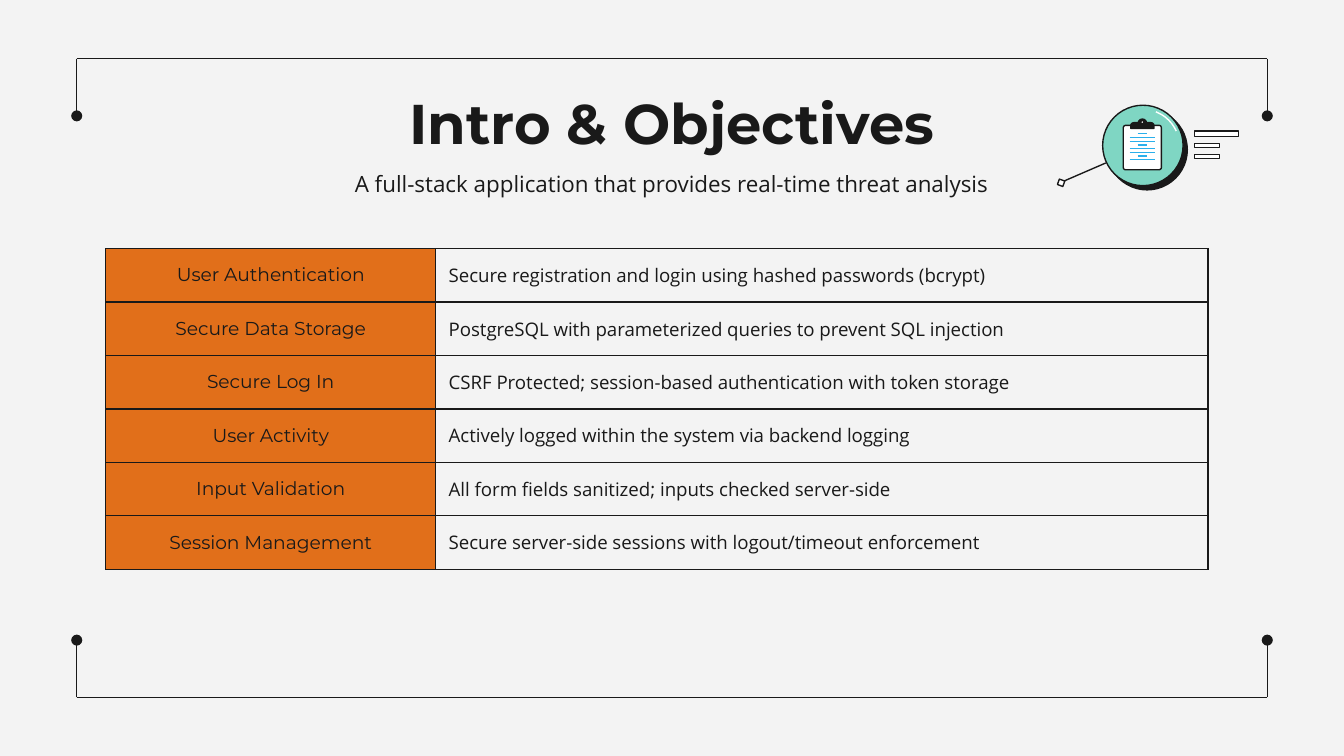
from dataclasses import dataclass

from lxml.etree import SubElement
from pptx import Presentation
from pptx.dml.color import RGBColor
from pptx.enum.shapes import MSO_CONNECTOR, MSO_SHAPE
from pptx.enum.text import MSO_ANCHOR, PP_ALIGN
from pptx.oxml import parse_xml
from pptx.oxml.ns import nsdecls, qn
from pptx.util import Cm, Pt


@dataclass(frozen=True)
class Theme:
    paper: str = "F3F3F3"
    ink: str = "191919"
    accent: str = "E16F1A"
    teal: str = "7FD6C3"
    blue: str = "2AAFEB"
    white: str = "FFFFFF"
    heading: str = "Montserrat"
    body: str = "Open Sans"
    title_size: float = 30
    subtitle_size: float = 12
    table_size: float = 10
    rule: float = 0.75


class Deck:
    """Draws styled elements on the current slide, with lengths in centimetres."""

    def __init__(self, prs, theme):
        self.theme = theme
        self.s = prs.slides.add_slide(prs.slide_layouts[5])
        fill = self.s.background.fill
        fill.solid()
        fill.fore_color.rgb = RGBColor.from_string(theme.paper)

    def set_text(self, tf, text, font, size, align=PP_ALIGN.CENTER, bold=False):
        tf.word_wrap = True
        p = tf.paragraphs[0]
        p.text = text
        p.alignment = align
        p.font.name = font
        p.font.size = Pt(size)
        p.font.bold = bold
        p.font.color.rgb = RGBColor.from_string(self.theme.ink)

    def frame(self, sp, box, text, font, size, anchor, bold=False):
        sp.left, sp.top, sp.width, sp.height = map(Cm, box)
        tf = sp.text_frame
        tf.margin_left = tf.margin_right = Cm(0.25)
        tf.margin_top = tf.margin_bottom = Cm(0.25)
        tf.vertical_anchor = anchor
        self.set_text(tf, text, font, size, bold=bold)

    def title(self, box, text):
        self.frame(self.s.shapes.title, box, text, self.theme.heading,
                   self.theme.title_size, MSO_ANCHOR.MIDDLE, bold=True)

    def subtitle(self, box, text):
        sp = self.s.shapes.add_textbox(*map(Cm, box))
        self.frame(sp, box, text, self.theme.body, self.theme.subtitle_size, MSO_ANCHOR.TOP)

    def line(self, x1, y1, x2, y2, color=None, dot=False):
        sp = self.s.shapes.add_connector(MSO_CONNECTOR.STRAIGHT, *map(Cm, (x1, y1, x2, y2)))
        sp.line.color.rgb = RGBColor.from_string(color or self.theme.ink)
        sp.line.width = Pt(self.theme.rule)
        if dot:
            SubElement(sp.get_or_add_ln(), qn("a:tailEnd"), type="oval")
        SubElement(sp._element.spPr, qn("a:effectLst"))

    def shape(self, kind, box, fill=None, line=None, adjust=(), rotation=0):
        sp = self.s.shapes.add_shape(kind, *map(Cm, box))
        sp.shadow.inherit = False
        for i, value in enumerate(adjust):
            sp.adjustments[i] = value
        if fill:
            sp.fill.solid()
            sp.fill.fore_color.rgb = RGBColor.from_string(fill)
        else:
            sp.fill.background()
        sp.line.color.rgb = RGBColor.from_string(line or self.theme.ink)
        sp.line.width = Pt(self.theme.rule)
        sp.rotation = rotation

    def borders(self, cell):
        tc_pr = cell._tc.get_or_add_tcPr()
        for i, side in enumerate(("lnL", "lnR", "lnT", "lnB")):
            tc_pr.insert(i, parse_xml(
                f'<a:{side} {nsdecls("a")} w="{Pt(self.theme.rule)}"><a:solidFill>'
                f'<a:srgbClr val="{self.theme.ink}"/></a:solidFill></a:{side}>'))

    def table(self, left, top, widths, row_height, rows):
        sp = self.s.shapes.add_table(len(rows), len(widths), Cm(left), Cm(top),
                                     Cm(sum(widths)), Cm(row_height * len(rows)))
        table = sp.table
        table.first_row = table.horz_banding = False
        for column, width in zip(table.columns, widths):
            column.width = Cm(width)
        styles = ((self.theme.heading, PP_ALIGN.CENTER), (self.theme.body, PP_ALIGN.LEFT))
        for i, texts in enumerate(rows):
            table.rows[i].height = Cm(row_height)
            label, detail = table.cell(i, 0), table.cell(i, 1)
            label.fill.solid()
            label.fill.fore_color.rgb = RGBColor.from_string(self.theme.accent)
            detail.fill.background()
            for cell, text, (font, align) in zip((label, detail), texts, styles):
                cell.margin_left = cell.margin_right = Cm(0.25)
                cell.margin_top = cell.margin_bottom = 0
                cell.vertical_anchor = MSO_ANCHOR.MIDDLE
                self.set_text(cell.text_frame, text, font, self.theme.table_size, align)
                self.borders(cell)

    def brackets(self, left, right, edges):
        for edge, arm_end in edges:
            self.line(left, edge, right, edge)
            for x in (left, right):
                self.line(x, edge, x, arm_end, dot=True)

    def magnifier(self):
        t = self.theme
        for top, width, height in ((2.48, 0.84, 0.1), (2.71, 0.48, 0.08), (2.92, 0.48, 0.08)):
            self.shape(MSO_SHAPE.RECTANGLE, (22.57, top, width, height), t.white)
        self.line(20.9, 3.08, 20.09, 3.43)
        self.shape(MSO_SHAPE.RECTANGLE, (20, 3.4, 0.11, 0.11), t.white, rotation=20)
        self.shape(MSO_SHAPE.OVAL, (20.92, 2.07, 1.52, 1.52), t.ink)
        self.shape(MSO_SHAPE.OVAL, (20.84, 1.99, 1.52, 1.52), t.teal)
        self.shape(MSO_SHAPE.ARC, (20.91, 2.07, 1.38, 1.38), line=t.white,
                   adjust=(291 * 0.6, 336 * 0.6))

    def clipboard(self, center):
        t = self.theme
        self.shape(MSO_SHAPE.ROUNDED_RECTANGLE, (center - 0.36, 2.37, 0.72, 0.84),
                   t.white, adjust=(0.06,))
        self.shape(MSO_SHAPE.ROUND_2_SAME_RECTANGLE, (center - 0.22, 2.32, 0.44, 0.11),
                   t.ink, adjust=(0.5, 0))
        self.shape(MSO_SHAPE.OVAL, (center - 0.08, 2.25, 0.16, 0.16), t.ink)
        self.shape(MSO_SHAPE.OVAL, (center - 0.03, 2.28, 0.06, 0.06), t.white)
        for i in range(8):
            half = 0.24 if i % 3 else 0.09
            y = 2.53 + 0.07 * i
            self.line(center - half, y, center + half, y, t.blue)


def main():
    prs = Presentation()
    prs.slide_width, prs.slide_height = Cm(25.4), Cm(14.29)
    deck = Deck(prs, Theme())
    deck.brackets(1.45, 23.95, ((1.11, 2.19), (13.18, 12.1)))
    deck.title((2, 1.5, 21.4, 1.6), "Intro & Objectives")
    deck.subtitle((2, 2.97, 21.4, 1.12),
                  "A full-stack application that provides real-time threat analysis")
    deck.table(2, 4.7, (6.23, 14.6), 1.01, (
        ("User Authentication", "Secure registration and login using hashed passwords (bcrypt)"),
        ("Secure Data Storage", "PostgreSQL with parameterized queries to prevent SQL injection"),
        ("Secure Log In", "CSRF Protected; session-based authentication with token storage"),
        ("User Activity", "Actively logged within the system via backend logging"),
        ("Input Validation", "All form fields sanitized; inputs checked server-side"),
        ("Session Management", "Secure server-side sessions with logout/timeout enforcement"),
    ))
    deck.magnifier()
    deck.clipboard(21.59)
    prs.save("out.pptx")


if __name__ == "__main__":
    main()
